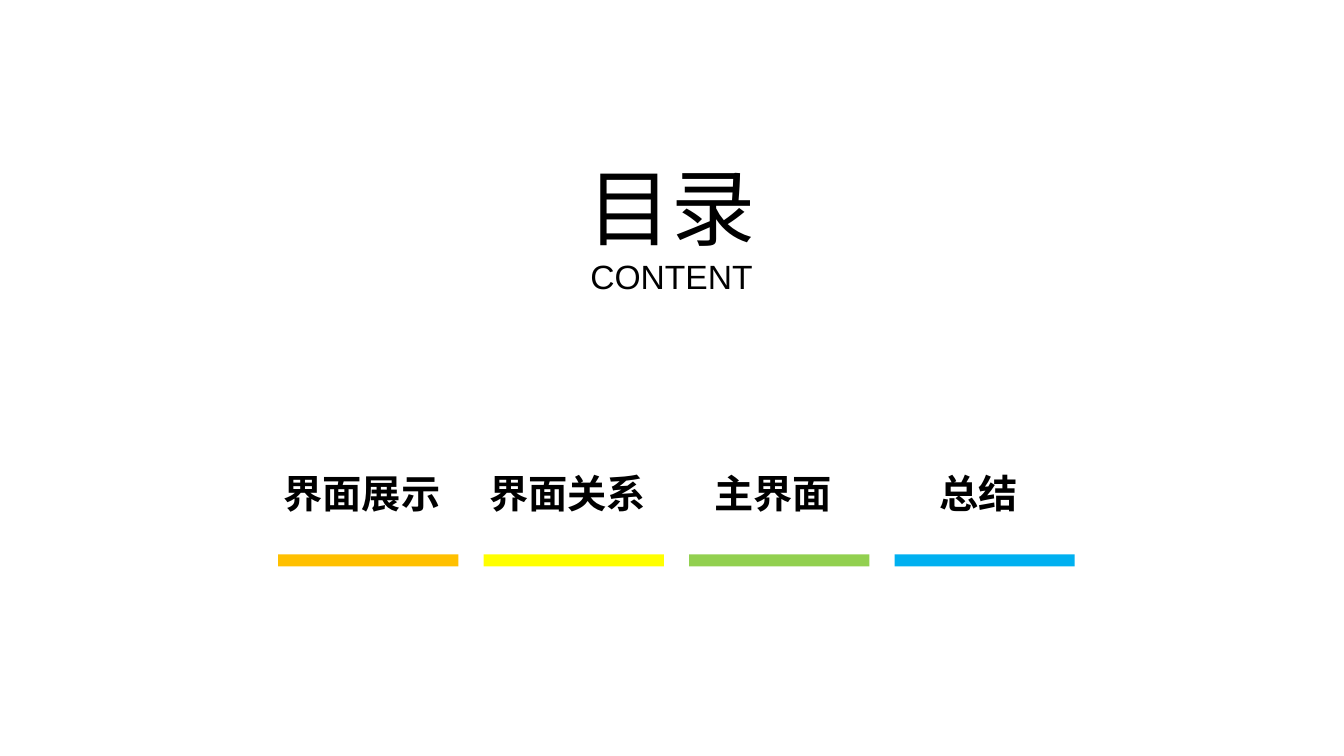
from dataclasses import dataclass

from pptx import Presentation
from pptx.dml.color import RGBColor
from pptx.enum.shapes import MSO_SHAPE
from pptx.enum.text import MSO_AUTO_SIZE, PP_ALIGN
from pptx.util import Inches, Pt

RECTANGLE = MSO_SHAPE.RECTANGLE
CENTER = PP_ALIGN.CENTER
FIT_SHAPE = MSO_AUTO_SIZE.SHAPE_TO_FIT_TEXT


@dataclass(frozen=True)
class Theme:
    font: str = "Arial"
    text: str = "000000"
    title_size: int = 60
    subtitle_size: int = 24
    label_size: int = 28
    label_spacing: float = 1.3


@dataclass(frozen=True)
class Box:
    left: float
    top: float
    width: float
    height: float

    def lengths(self):
        return [Inches(value) for value in (self.left, self.top, self.width, self.height)]


THEME = Theme()
SLIDE_WIDTH, SLIDE_HEIGHT = 13.33, 7.5
HEADING_BOX = Box(5.72, 1.49, 1.88, 1.51)
CHAPTERS_BOX = Box(2.76, 4.47, 7.9, 1.15)
COLUMN_GAP = 0.25
BAR_HEIGHT = 0.12
LABEL_WIDTH, LABEL_HEIGHT = 1.92, 0.65
LABEL_OFFSET = -0.13

CHAPTERS = [
    ("界面展示", "FFC000"),
    ("界面关系", "FFFF00"),
    ("主界面", "92D050"),
    ("总结", "00B0F0"),
]


def add_text(slide, box, lines, bold=False, wrap=True, spacing=None):
    frame = slide.shapes.add_textbox(*box.lengths()).text_frame
    frame.word_wrap = wrap
    frame.auto_size = FIT_SHAPE
    for index, (text, size) in enumerate(lines):
        paragraph = frame.add_paragraph() if index else frame.paragraphs[0]
        paragraph.alignment = CENTER
        paragraph.line_spacing = spacing
        run = paragraph.add_run()
        run.text = text
        run.font.name = THEME.font
        run.font.size = Pt(size)
        run.font.bold = bold
        run.font.color.rgb = RGBColor.from_string(THEME.text)


def add_bar(slide, box, color):
    bar = slide.shapes.add_shape(RECTANGLE, *box.lengths())
    bar.shadow.inherit = False
    bar.fill.solid()
    bar.fill.fore_color.rgb = RGBColor.from_string(color)
    bar.line.fill.background()


def add_heading(slide, box):
    lines = [("目录", THEME.title_size), ("CONTENT", THEME.subtitle_size)]
    add_text(slide, box, lines, wrap=False)


def add_chapters(slide, box):
    count = len(CHAPTERS)
    column_width = (box.width - COLUMN_GAP * (count - 1)) / count
    bar_top = box.top + box.height - BAR_HEIGHT
    for index, (label, color) in enumerate(CHAPTERS):
        left = box.left + index * (column_width + COLUMN_GAP)
        label_box = Box(left + LABEL_OFFSET, box.top, LABEL_WIDTH, LABEL_HEIGHT)
        add_text(slide, label_box, [(label, THEME.label_size)],
                 bold=True, spacing=THEME.label_spacing)
        add_bar(slide, Box(left, bar_top, column_width, BAR_HEIGHT), color)


def main():
    presentation = Presentation()
    presentation.slide_width = Inches(SLIDE_WIDTH)
    presentation.slide_height = Inches(SLIDE_HEIGHT)
    slide = presentation.slides.add_slide(presentation.slide_layouts[6])
    add_heading(slide, HEADING_BOX)
    add_chapters(slide, CHAPTERS_BOX)
    presentation.save("out.pptx")


if __name__ == "__main__":
    main()
